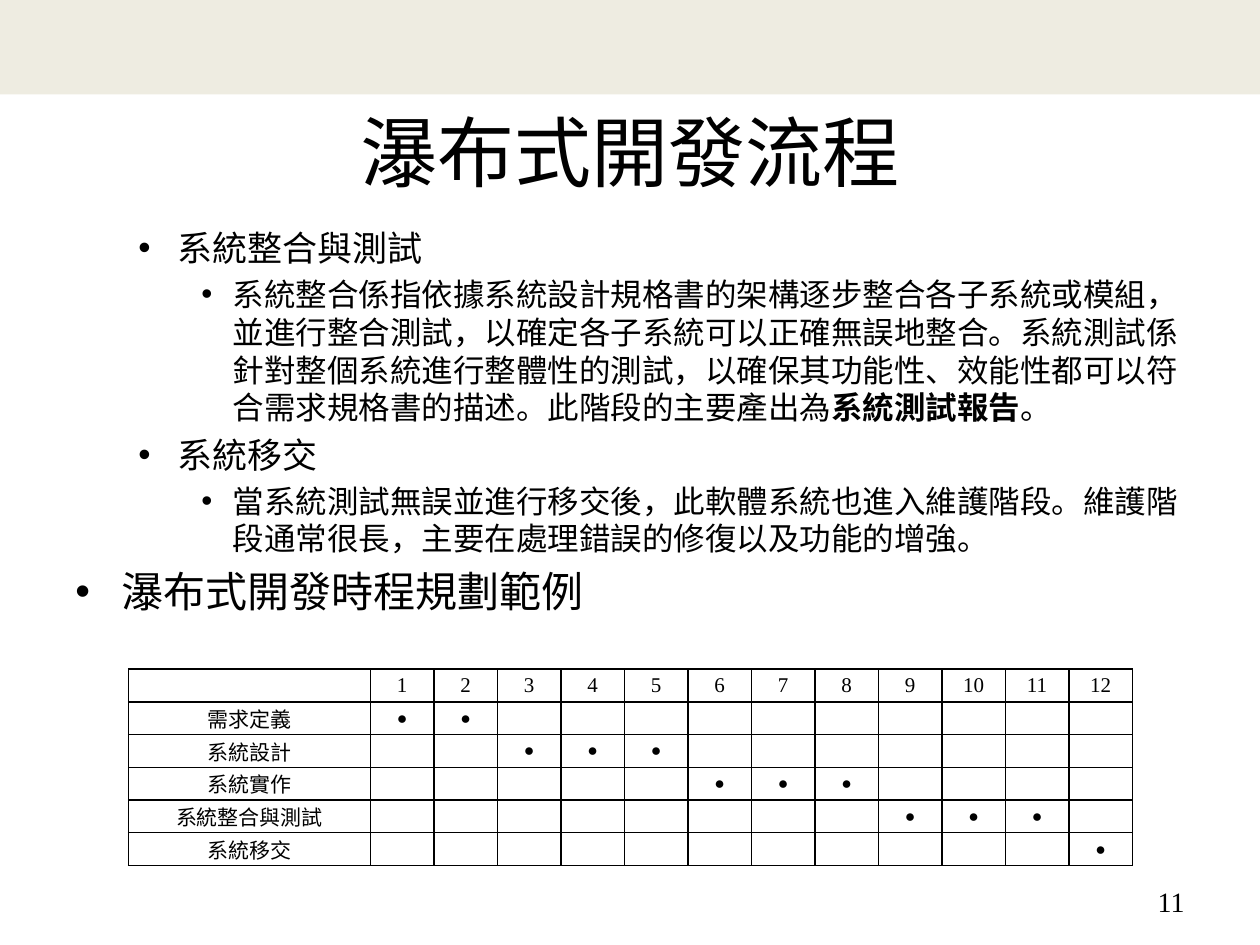
from dataclasses import dataclass
from lxml.etree import SubElement as Sub
from pptx import Presentation
from pptx.dml.color import RGBColor as Rgb
from pptx.enum.shapes import MSO_SHAPE as Shape
from pptx.enum.text import MSO_ANCHOR as Anchor, PP_ALIGN as Align
from pptx.oxml.ns import qn
from pptx.util import Inches, Pt


@dataclass(frozen=True)
class Theme:
    ink: str = "000000"
    band: str = "EEECE1"
    sans: str = "Calibri"
    serif: str = "Times New Roman"
    title: int = 44
    body: tuple = (24, 20, 18)
    cell: int = 12
    dot: int = 10
    page: int = 16


THEME = Theme()
COLS, ROWS = 100, 75  # slide grid
WIDE, HIGH = Inches(10), Inches(7.5)

# Left margin and hanging indent of each list level, in inches
LEVELS = [(0.37, 0.37), (0.81, 0.31), (1.25, 0.25)]
# Level, then runs of (text, bold)
ITEMS = [
    (1, [("系統整合與測試", False)]),
    (2, [("系統整合係指依據系統設計規格書的架構逐步整合各子系統或模組，"
          "並進行整合測試，以確定各子系統可以正確無誤地整合。系統測試係"
          "針對整個系統進行整體性的測試，以確保其功能性、效能性都可以符"
          "合需求規格書的描述。此階段的主要產出為", False),
         ("系統測試報告", True), ("。", False)]),
    (1, [("系統移交", False)]),
    (2, [("當系統測試無誤並進行移交後，此軟體系統也進入維護階段。維護階"
          "段通常很長，主要在處理錯誤的修復以及功能的增強。", False)]),
    (0, [("瀑布式開發時程規劃範例", False)]),
]
# Phase, first month, last month
PLAN = [("需求定義", 1, 2), ("系統設計", 3, 5), ("系統實作", 6, 8),
        ("系統整合與測試", 9, 11), ("系統移交", 12, 12)]
MONTHS = 12


def area(col, row, cols, rows):
    """Turn grid columns and rows into a box."""
    return (int(WIDE * col / COLS), int(HIGH * row / ROWS),
            int(WIDE * cols / COLS), int(HIGH * rows / ROWS))


def add_run(para, text, size, face, bold=False):
    run = para.add_run()
    run.text = text
    font = run.font
    font.size, font.name, font.bold = Pt(size), face, bold
    font.color.rgb = Rgb.from_string(THEME.ink)


def add_frame(slide, box, anchor):
    frame = slide.shapes.add_textbox(*box).text_frame
    frame.word_wrap = True
    frame.vertical_anchor = anchor
    return frame


def add_band(slide, box):
    band = slide.shapes.add_shape(Shape.RECTANGLE, *box)
    band.shadow.inherit = False
    band.fill.solid()
    band.fill.fore_color.rgb = Rgb.from_string(THEME.band)
    band.line.fill.background()


def add_line(slide, box, text, size, face, align):
    para = add_frame(slide, box, Anchor.MIDDLE).paragraphs[0]
    para.alignment = align
    add_run(para, text, size, face)


def set_bullet(para, level):
    left, hang = LEVELS[level]
    props = para._p.get_or_add_pPr()
    props.set("marL", str(Inches(left)))
    props.set("indent", str(-Inches(hang)))
    Sub(props, qn("a:buFont")).set("typeface", "Arial")
    Sub(props, qn("a:buChar")).set("char", "•")


def add_list(slide, box):
    frame = add_frame(slide, box, Anchor.TOP)
    for i, (level, runs) in enumerate(ITEMS):
        para = frame.add_paragraph() if i else frame.paragraphs[0]
        size = THEME.body[level]
        para.level = level
        para.space_before = Pt(round(size * 0.2, 1))
        set_bullet(para, level)
        for text, bold in runs:
            add_run(para, text, size, THEME.sans, bold)


def set_edges(cell):
    props = cell._tc.get_or_add_tcPr()
    for i, side in enumerate(("lnL", "lnR", "lnT", "lnB")):
        line = props.makeelement(qn("a:" + side), {"w": str(Pt(1))})
        fill = Sub(line, qn("a:solidFill"))
        Sub(fill, qn("a:srgbClr")).set("val", THEME.ink)
        props.insert(i, line)


def fill_cell(cell, text, size):
    cell.fill.background()
    set_edges(cell)
    cell.margin_left = cell.margin_right = Inches(0.07)
    cell.margin_top = cell.margin_bottom = 0
    cell.vertical_anchor = Anchor.MIDDLE
    para = cell.text_frame.paragraphs[0]
    para.alignment = Align.CENTER
    if text:
        add_run(para, text, size, THEME.serif)
    else:  # keeps an empty row from growing
        Sub(para._p, qn("a:endParaRPr")).set("sz", str(size * 100))


def add_plan(slide, box):
    table = slide.shapes.add_table(len(PLAN) + 1, MONTHS + 1, *box).table
    table.first_row = table.horz_banding = False
    # Label column, then equal months
    label = Inches(1.92)
    month = (box[2] - label) // MONTHS
    for i, col in enumerate(table.columns):
        col.width = month if i else label
    # Heading row
    for i in range(MONTHS + 1):
        fill_cell(table.cell(0, i), str(i) if i else "", THEME.cell)
    # One row for each phase
    for row, (name, first, last) in enumerate(PLAN, 1):
        fill_cell(table.cell(row, 0), name, THEME.cell)
        for i in range(1, MONTHS + 1):
            mark = "●" if first <= i <= last else ""
            fill_cell(table.cell(row, i), mark, THEME.dot)


def main():
    deck = Presentation()
    deck.slide_width, deck.slide_height = WIDE, HIGH
    slide = deck.slides.add_slide(deck.slide_layouts[6])
    add_band(slide, area(0, 0, COLS, 7.5))
    add_line(slide, area(5, 7.6, 90, 8.7), "瀑布式開發流程",
             THEME.title, THEME.sans, Align.CENTER)
    add_list(slide, area(5, 17.5, 90, 49.5))
    add_line(slide, area(71.7, 69.5, 23.3, 4), "11",
             THEME.page, THEME.serif, Align.RIGHT)
    add_plan(slide, area(10.2, 53.1, 79.7, 15.6))
    deck.save("out.pptx")


if __name__ == "__main__":
    main()
